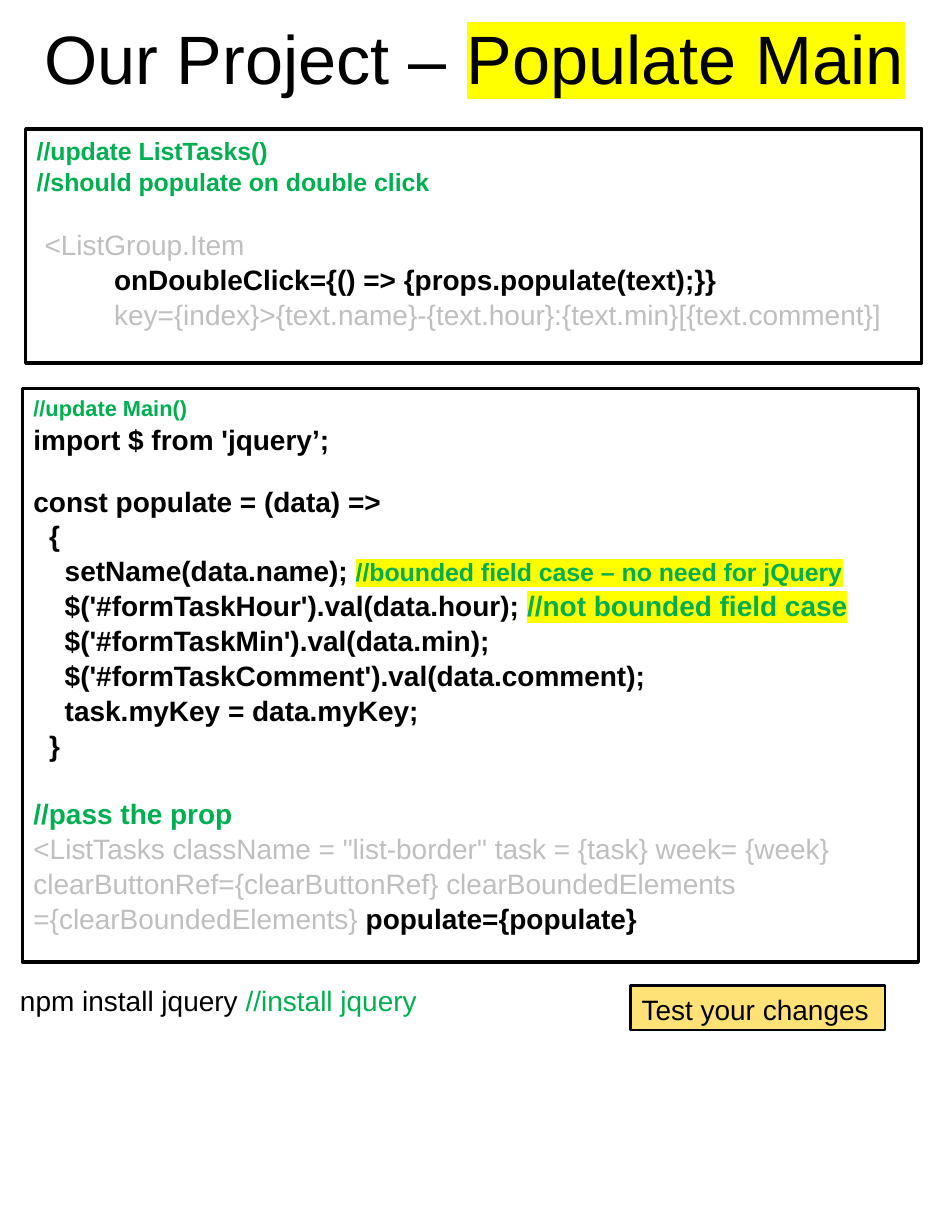
import pptx
import pptx.dml.color
import pptx.enum.shapes
import pptx.enum.text
import pptx.oxml.ns
import pptx.util
from lxml import etree
from dataclasses import dataclass

# Grid: 85 columns by 110 rows on a letter page
COLUMNS, ROWS = 85, 110
WIDTH, HEIGHT = pptx.util.Inches(8.5), pptx.util.Inches(11)


@dataclass(frozen=True)
class Theme:
    font: str = "Arial"
    ink: str = "000000"
    comment: str = "00B050"
    faded: str = "BFBFBF"
    marker: str = "FFFF00"
    button: str = "FFE277"
    title: int = 44
    code: int = 18
    note: int = 16
    small: int = 14
    spacing: float = 1.04


THEME = Theme()


def rgb(value):
    return pptx.dml.color.RGBColor.from_string(value)


def cols(n):
    return int(WIDTH * n / COLUMNS)


def rows(n):
    return int(HEIGHT * n / ROWS)


def place(sp, left, top, width, height):
    sp.left, sp.top = cols(left), rows(top)
    sp.width, sp.height = cols(width), rows(height)


def add_text(p, text, size=THEME.code, color=THEME.ink, bold=False, marker=None):
    """Append one formatted run to a paragraph."""
    r = p.add_run()
    r.text = text
    r.font.size = pptx.util.Pt(size)
    r.font.bold = bold
    r.font.name = THEME.font
    r.font.color.rgb = rgb(color)
    if marker:
        rPr = r._r.get_or_add_rPr()
        highlight = etree.Element(pptx.oxml.ns.qn("a:highlight"))
        etree.SubElement(highlight, pptx.oxml.ns.qn("a:srgbClr"), val=marker)
        rPr.find(pptx.oxml.ns.qn("a:solidFill")).addnext(highlight)


def fill_lines(sp, lines, wrap=True, align=pptx.enum.text.PP_ALIGN.LEFT):
    """Each line is (indent in columns, gap above in points, runs)."""
    tf = sp.text_frame
    tf.word_wrap = wrap
    tf.auto_size = pptx.enum.text.MSO_AUTO_SIZE.NONE
    tf.vertical_anchor = pptx.enum.text.MSO_ANCHOR.TOP
    for i, (indent, gap, runs) in enumerate(lines):
        p = tf.add_paragraph() if i else tf.paragraphs[0]
        p.alignment = align
        p.line_spacing = THEME.spacing
        p.space_before = pptx.util.Pt(gap)
        if indent:
            p._p.get_or_add_pPr().set("marL", str(cols(indent)))
        for text, style in runs:
            add_text(p, text, **style)


def add_box(s, at, lines, line_width, fill=None, wrap=True):
    sp = s.shapes.add_shape(pptx.enum.shapes.MSO_SHAPE.RECTANGLE, 0, 0, 0, 0)
    place(sp, *at)
    sp.shadow.inherit = False
    if fill:
        sp.fill.solid()
        sp.fill.fore_color.rgb = rgb(fill)
    else:
        sp.fill.background()
    sp.line.color.rgb = rgb(THEME.ink)
    sp.line.width = pptx.util.Pt(line_width)
    fill_lines(sp, lines, wrap)


def add_label(s, at, lines):
    sp = s.shapes.add_textbox(0, 0, 0, 0)
    place(sp, *at)
    fill_lines(sp, lines)


def main():
    prs = pptx.Presentation()
    prs.slide_width, prs.slide_height = WIDTH, HEIGHT
    s = prs.slides.add_slide(prs.slide_layouts[5])

    # Styles of code text
    plain = {}
    code = dict(bold=True)
    faded = dict(color=THEME.faded)
    comment = dict(color=THEME.comment, bold=True)
    note = dict(comment, size=THEME.note)
    small = dict(comment, size=THEME.small)

    # Title
    place(s.shapes.title, 1.6, 0.6, 81.5, 8.4)
    fill_lines(s.shapes.title, [(0, 0, [
        ("Our Project – ", dict(size=THEME.title)),
        ("Populate Main", dict(size=THEME.title, marker=THEME.marker)),
    ])], wrap=False, align=pptx.enum.text.PP_ALIGN.CENTER)

    # Changes to ListTasks
    add_box(s, (2.3, 11.5, 80, 20.9), [
        (0, 0, [("//update ListTasks()", note)]),
        (0, 0, [("//should populate on double click", note)]),
        (0.7, 19, [("<ListGroup.Item", faded)]),
        (6.9, 0, [("onDoubleClick={() => {props.populate(text);}}", code)]),
        (6.9, 0, [("key={index}>{text.name}-{text.hour}:{text.min}"
                   "[{text.comment}]", faded)]),
    ], line_width=2.25)

    # Changes to Main
    add_box(s, (2, 34.7, 80, 51.2), [
        (0, 0, [("//update Main()", small)]),
        (0, 0, [("import $ from 'jquery’;", code)]),
        (0, 17, [("const populate = (data) =>", code)]),
        (1.4, 0, [("{", code)]),
        (2.8, 0, [("setName(data.name); ", code),
                  ("//bounded field case – no need for jQuery",
                   dict(note, marker=THEME.marker))]),
        (2.8, 0, [("$('#formTaskHour').val(data.hour); ", code),
                  ("//not bounded field case",
                   dict(comment, marker=THEME.marker))]),
        (2.8, 0, [("$('#formTaskMin').val(data.min);", code)]),
        (2.8, 0, [("$('#formTaskComment').val(data.comment);", code)]),
        (2.8, 0, [("task.myKey = data.myKey;", code)]),
        (1.4, 0, [("}", code)]),
        (0, 21.5, [("//pass the prop", comment)]),
        (0, 0, [('<ListTasks className = "list-border" task = {task} '
                 "week= {week} clearButtonRef={clearButtonRef} "
                 "clearBoundedElements ={clearBoundedElements} ", faded),
                ("populate={populate}", code)]),
    ], line_width=2.25)

    # Closing steps
    add_box(s, (56.3, 88, 22.7, 4), [(0, 0, [("Test your changes", plain)])],
            line_width=1.5, fill=THEME.button, wrap=False)
    add_label(s, (0.8, 87.2, 49.1, 4), [(0, 0, [
        ("npm install jquery ", plain),
        ("//install jquery", dict(color=THEME.comment)),
    ])])

    prs.save("out.pptx")


if __name__ == "__main__":
    main()
